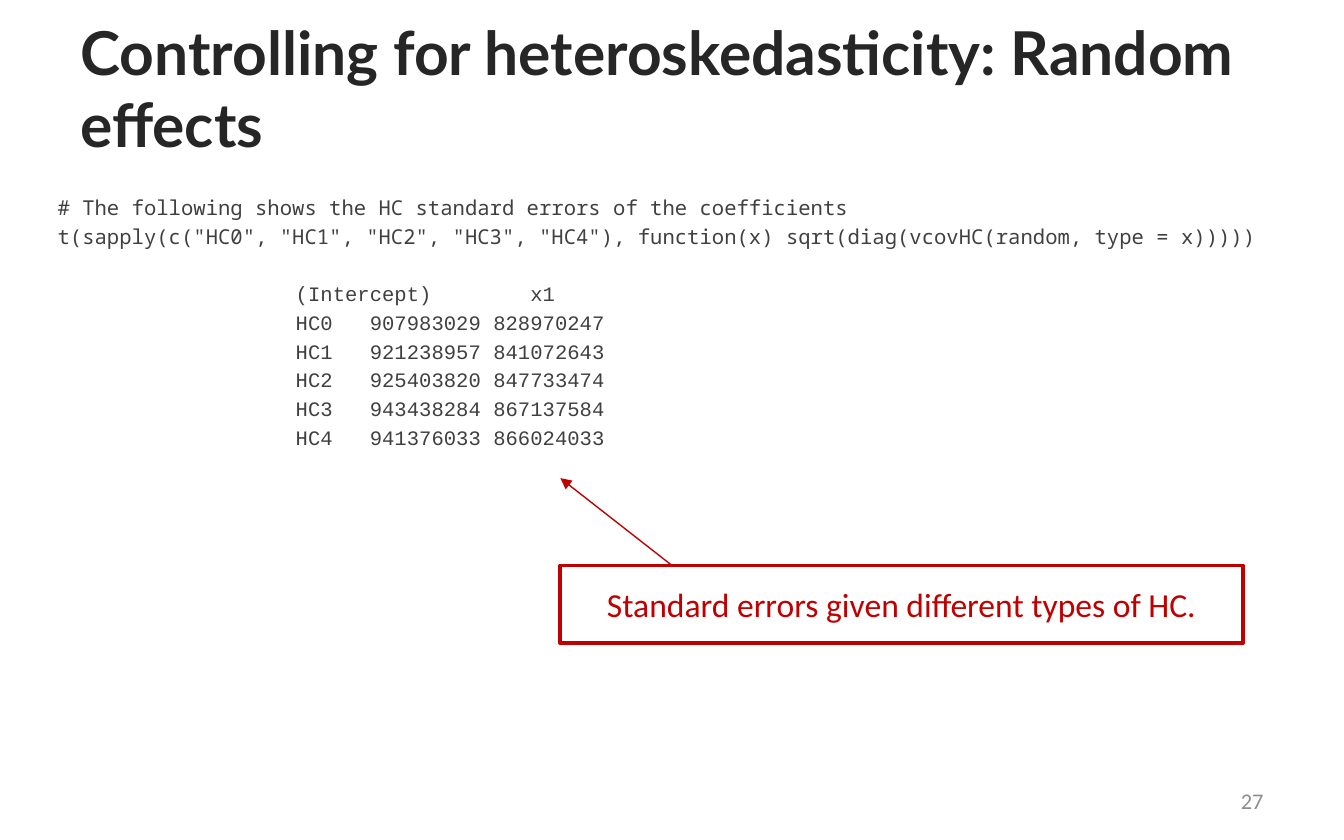
from lxml import etree
from pptx import Presentation
from pptx import util as u
from pptx.dml.color import RGBColor
from pptx.enum import shapes, text
from pptx.oxml.ns import qn

COLORS = {"title": "262626", "code": "404040", "number": "8C8C8C", "accent": "C00000"}
TITLE = "Controlling for heteroskedasticity: Random effects"
CODE = [
    "# The following shows the HC standard errors of the coefficients",
    't(sapply(c("HC0", "HC1", "HC2", "HC3", "HC4"), function(x) sqrt(diag(vcovHC(random, type = x)))))',
]
HEADER = ("(Intercept)", "x1")
STANDARD_ERRORS = [
    ("HC0", 907983029, 828970247),
    ("HC1", 921238957, 841072643),
    ("HC2", 925403820, 847733474),
    ("HC3", 943438284, 867137584),
    ("HC4", 941376033, 866024033),
]
CALLOUT = "Standard errors given different types of HC."
PAGE_NUMBER = "27"
LINE_PITCH = u.Pt(15.43)
RESULT_INDENT = u.Cm(4.5)


def color(name):
    return RGBColor.from_string(COLORS[name])


def style(paragraph, font, size, color_name, bold=False):
    paragraph.font.name = font
    paragraph.font.size = u.Pt(size)
    paragraph.font.bold = bold
    paragraph.font.color.rgb = color(color_name)


def add_text_box(slide, left, top, width, height, anchor):
    box = slide.shapes.add_textbox(u.Cm(left), u.Cm(top), u.Cm(width), u.Cm(height))
    box.text_frame.word_wrap = True
    box.text_frame.vertical_anchor = anchor
    return box.text_frame


def add_code(slide):
    frame = add_text_box(slide, 0.84, 3.48, 23.72, 10.46, text.MSO_ANCHOR.TOP)
    results = [f"{HEADER[0]:<11}{HEADER[1]:>10}"]
    results += [f"{name:<5}{intercept:>10}{slope:>10}" for name, intercept, slope in STANDARD_ERRORS]
    for index, line in enumerate(CODE + results):
        paragraph = frame.paragraphs[0] if index == 0 else frame.add_paragraph()
        paragraph.text = line
        paragraph.line_spacing = LINE_PITCH
        is_result = index >= len(CODE)
        style(paragraph, "Courier New" if is_result else "Noto Sans Mono", 11, "code")
        if is_result:
            paragraph._p.get_or_add_pPr().set("marL", str(RESULT_INDENT))
        if index == len(CODE):
            paragraph.space_before = LINE_PITCH


def add_callout(slide):
    left, top = 10.59, 10.69
    box = slide.shapes.add_shape(
        shapes.MSO_SHAPE.RECTANGLE, u.Cm(left), u.Cm(top), u.Cm(12.9), u.Cm(1.47))
    box.shadow.inherit = False
    box.fill.background()
    box.line.color.rgb = color("accent")
    box.line.width = u.Pt(2)
    box.text_frame.word_wrap = True
    box.text_frame.vertical_anchor = text.MSO_ANCHOR.MIDDLE
    paragraph = box.text_frame.paragraphs[0]
    paragraph.text = CALLOUT
    paragraph.alignment = text.PP_ALIGN.CENTER
    style(paragraph, "Calibri", 18, "accent")

    arrow = slide.shapes.add_connector(
        shapes.MSO_CONNECTOR.STRAIGHT, u.Cm(12.7), u.Cm(top), u.Cm(left), u.Cm(9.04))
    arrow.line.color.rgb = color("accent")
    arrow.line.width = u.Pt(0.75)
    etree.SubElement(arrow.line._get_or_add_ln(), qn("a:tailEnd"), type="triangle")
    etree.SubElement(arrow._element.spPr, qn("a:effectLst"))


def main():
    presentation = Presentation()
    presentation.slide_width = u.Cm(25.4)
    presentation.slide_height = u.Cm(15.88)
    slide = presentation.slides.add_slide(presentation.slide_layouts[6])

    title = add_text_box(slide, 1.27, 0.33, 22.86, 2.64, text.MSO_ANCHOR.MIDDLE).paragraphs[0]
    title.text = TITLE
    style(title, "Lato", 32.4, "title", bold=True)

    add_code(slide)

    number = add_text_box(slide, 18.21, 14.71, 5.92, 0.84, text.MSO_ANCHOR.MIDDLE).paragraphs[0]
    number.text = PAGE_NUMBER
    number.alignment = text.PP_ALIGN.RIGHT
    style(number, "Calibri", 12, "number")

    add_callout(slide)
    presentation.save("out.pptx")


if __name__ == "__main__":
    main()
